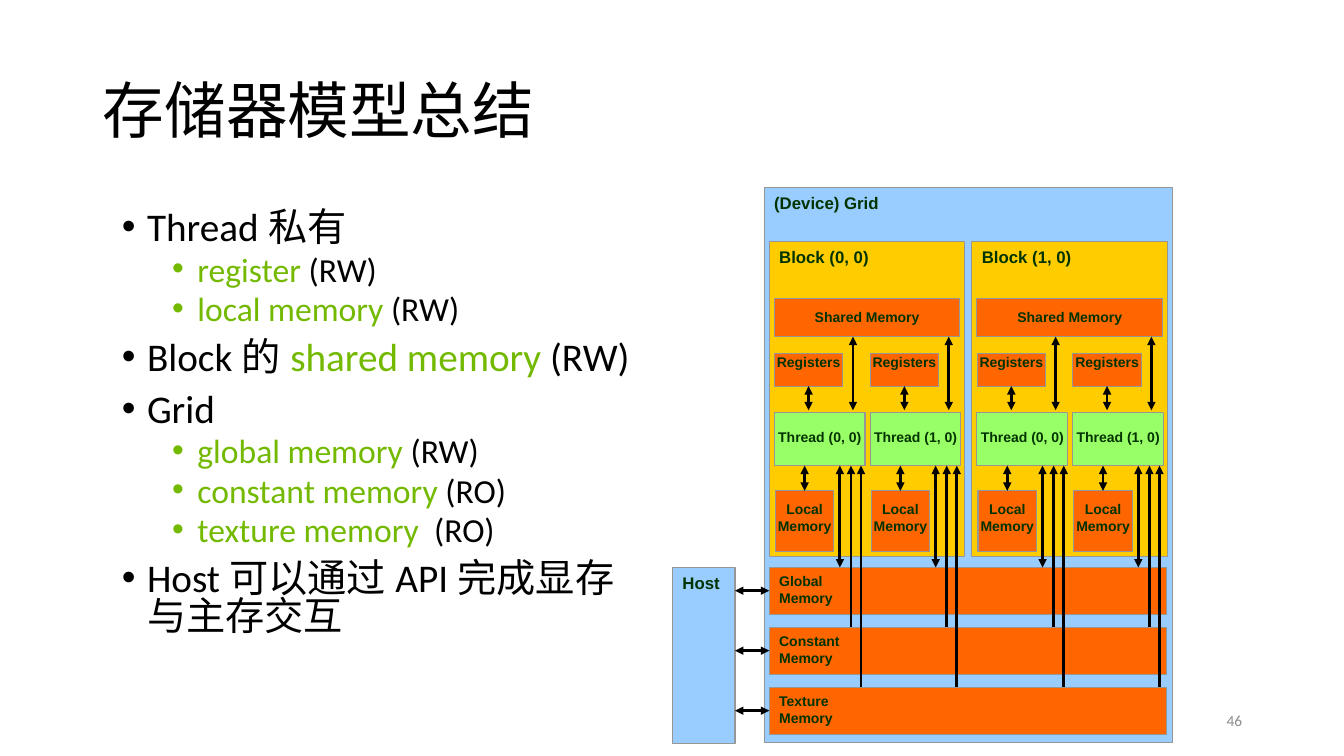
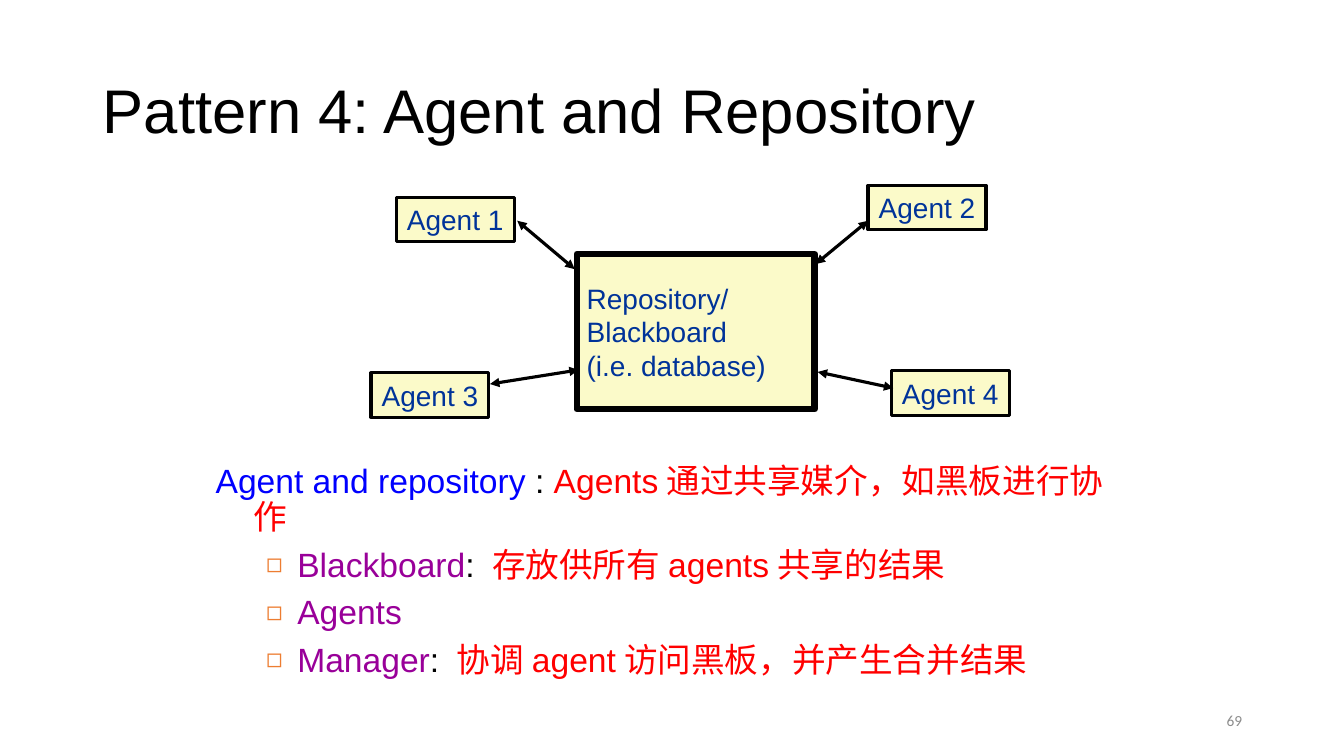
from dataclasses import dataclass
from typing import Optional

import lxml.etree
import pptx
import pptx.dml.color
import pptx.enum.shapes
import pptx.enum.text
import pptx.oxml.ns
import pptx.presentation
import pptx.shapes.shapetree
import pptx.slide
import pptx.text.text
import pptx.util

Inches = pptx.util.Inches
Pt = pptx.util.Pt
ALIGN = pptx.enum.text.PP_ALIGN
ANCHOR = pptx.enum.text.MSO_ANCHOR
qn = pptx.oxml.ns.qn


@dataclass(frozen=True)
class Theme:
    heading_font: str = "Calibri"
    diagram_font: str = "Arial"
    title_size: int = 44
    body_size: int = 28
    detail_size: int = 24
    agent_size: int = 20
    region_size: int = 12
    unit_size: int = 10
    number_size: int = 11
    black: str = "000000"
    number: str = "8C8C8C"
    green: str = "73B900"
    blue: str = "0000FF"
    red: str = "FF0000"
    purple: str = "990099"
    bullet: str = "ED7D31"
    outline: str = "969696"
    label: str = "003300"
    device: str = "99CCFF"
    block: str = "FFCC00"
    memory: str = "FF6600"
    thread: str = "99FF66"
    agent_fill: str = "FBFAC9"
    agent_text: str = "003399"


THEME = Theme()


@dataclass(frozen=True)
class BoxStyle:
    fill: str
    size: int
    color: str = THEME.label
    bold: bool = True
    outline: str = THEME.outline
    outline_width: float = 0.75
    align: ALIGN = ALIGN.LEFT
    anchor: ANCHOR = ANCHOR.TOP
    wrap: bool = True
    insets: tuple[float, float, float, float] = (0.1, 0.05, 0.1, 0.05)


def unit_style(fill: str, top_inset: float) -> BoxStyle:
    return BoxStyle(fill, THEME.unit_size, align=ALIGN.CENTER, insets=(0, top_inset, 0, 0))


def agent_style(outline_width: float, align: ALIGN, wrap: bool) -> BoxStyle:
    return BoxStyle(THEME.agent_fill, THEME.agent_size, THEME.agent_text, False,
                    THEME.black, outline_width, align, ANCHOR.MIDDLE, wrap)


DEVICE = BoxStyle(THEME.device, THEME.region_size)
BLOCK = BoxStyle(THEME.block, THEME.region_size)
MEMORY_BAND = BoxStyle(THEME.memory, THEME.unit_size)
MEMORY_UNIT = unit_style(THEME.memory, 0.1)
REGISTERS = unit_style(THEME.memory, 0)
THREAD = unit_style(THEME.thread, 0.16)
AGENT = agent_style(2.25, ALIGN.CENTER, False)
REPOSITORY = agent_style(4.5, ALIGN.LEFT, True)


@dataclass(frozen=True)
class Box:
    text: str
    left: float
    top: float
    width: float
    height: float
    style: BoxStyle


@dataclass(frozen=True)
class Arrow:
    start: tuple[float, float]
    end: tuple[float, float]
    width: float = 2
    two_way: bool = True


@dataclass(frozen=True)
class Span:
    text: str
    color: str = THEME.black


@dataclass(frozen=True)
class ListStyle:
    font: str
    size: int
    level: int
    margin: float
    hanging: float
    line_spacing: float
    space_before: float
    bullet: Optional[str] = "•"
    bullet_color: Optional[str] = None
    bullet_scale: int = 100


@dataclass(frozen=True)
class Item:
    style: ListStyle
    spans: tuple[Span, ...]


TOPIC = ListStyle(THEME.heading_font, THEME.body_size, 0, 0.25, 0.25, 0.8, 10)
DETAIL = ListStyle(THEME.heading_font, THEME.detail_size, 1, 0.75, 0.25, 0.8, 5)
LEAD = ListStyle(THEME.diagram_font, THEME.detail_size, 0, 0.38, 0.38, 0.9, 5, None)
ROLE = ListStyle(THEME.diagram_font, THEME.detail_size, 1, 0.81, 0.31, 0.9, 8,
                 "◻", THEME.bullet, 80)


def rgb(color: str) -> pptx.dml.color.RGBColor:
    return pptx.dml.color.RGBColor.from_string(color)


def format_font(font: pptx.text.text.Font, name: str, size: float, color: str,
                bold: bool = False) -> None:
    font.name = name
    font.size = Pt(size)
    font.bold = bold
    font.color.rgb = rgb(color)


def add_page(deck: pptx.presentation.Presentation, title: str, title_font: str,
             number: str) -> pptx.slide.Slide:
    page = deck.slides.add_slide(deck.slide_layouts[5])
    heading = page.shapes.title
    heading.left, heading.top = Inches(0.92), Inches(0.4)
    heading.width, heading.height = Inches(11.5), Inches(1.45)
    heading.text_frame.text = title
    heading.text_frame.auto_size = pptx.enum.text.MSO_AUTO_SIZE.NONE
    heading.text_frame.vertical_anchor = ANCHOR.MIDDLE
    para = heading.text_frame.paragraphs[0]
    para.alignment = ALIGN.LEFT
    para.line_spacing = 0.9
    format_font(para.runs[0].font, title_font, THEME.title_size, THEME.black)

    footer = page.shapes.add_textbox(Inches(9.42), Inches(6.95), Inches(3), Inches(0.4))
    footer.text_frame.text = number
    footer.text_frame.word_wrap = True
    footer.text_frame.vertical_anchor = ANCHOR.MIDDLE
    para = footer.text_frame.paragraphs[0]
    para.alignment = ALIGN.RIGHT
    format_font(para.runs[0].font, THEME.heading_font, THEME.number_size, THEME.number)
    return page


def add_box(shapes: pptx.shapes.shapetree.GroupShapes, box: Box) -> None:
    style = box.style
    shape = shapes.add_shape(pptx.enum.shapes.MSO_SHAPE.RECTANGLE, Inches(box.left),
                             Inches(box.top), Inches(box.width), Inches(box.height))
    shape.shadow.inherit = False
    shape.fill.solid()
    shape.fill.fore_color.rgb = rgb(style.fill)
    shape.line.color.rgb = rgb(style.outline)
    shape.line.width = Pt(style.outline_width)
    frame = shape.text_frame
    frame.text = box.text
    frame.word_wrap = style.wrap
    frame.vertical_anchor = style.anchor
    (frame.margin_left, frame.margin_top,
     frame.margin_right, frame.margin_bottom) = map(Inches, style.insets)
    for para in frame.paragraphs:
        para.alignment = style.align
        for span in para.runs:
            format_font(span.font, THEME.diagram_font, style.size, style.color, style.bold)


def add_arrow(shapes: pptx.shapes.shapetree.GroupShapes, arrow: Arrow) -> None:
    connector = shapes.add_connector(pptx.enum.shapes.MSO_CONNECTOR.STRAIGHT,
                                     *map(Inches, arrow.start + arrow.end))
    connector.line.color.rgb = rgb(THEME.black)
    connector.line.width = Pt(arrow.width)
    properties = connector.element.spPr
    line = properties.find(qn("a:ln"))
    for tag in ("a:headEnd", "a:tailEnd")[:2 if arrow.two_way else 1]:
        lxml.etree.SubElement(line, qn(tag), type="triangle")
    lxml.etree.SubElement(properties, qn("a:effectLst"))


def format_item(para: pptx.text.text._Paragraph, style: ListStyle) -> None:
    properties = para._p.get_or_add_pPr()
    properties.set("marL", str(Inches(style.margin)))
    properties.set("indent", str(-Inches(style.hanging)))
    if style.bullet is None:
        lxml.etree.SubElement(properties, qn("a:buNone"))
    else:
        if style.bullet_color:
            tint = lxml.etree.SubElement(properties, qn("a:buClr"))
            lxml.etree.SubElement(tint, qn("a:srgbClr"), val=style.bullet_color)
        lxml.etree.SubElement(properties, qn("a:buSzPct"), val=str(style.bullet_scale * 1000))
        lxml.etree.SubElement(properties, qn("a:buFont"), typeface=THEME.diagram_font)
        lxml.etree.SubElement(properties, qn("a:buChar"), char=style.bullet)
    para.level = style.level
    para.line_spacing = style.line_spacing


def add_list(page: pptx.slide.Slide, left: float, top: float, width: float, height: float,
             items: list[Item]) -> None:
    box = page.shapes.add_textbox(Inches(left), Inches(top), Inches(width), Inches(height))
    frame = box.text_frame
    frame.word_wrap = True
    for index, item in enumerate(items):
        para = frame.add_paragraph() if index else frame.paragraphs[0]
        format_item(para, item.style)
        para.space_before = Pt(item.style.space_before if index else 0)
        for part in item.spans:
            span = para.add_run()
            span.text = part.text
            format_font(span.font, item.style.font, item.style.size, part.color)


def add_thread(shapes: pptx.shapes.shapetree.GroupShapes, left: float, column: int) -> None:
    for box in (
        Box("Local\nMemory", left + 0.01, 4.87, 0.58, 0.6, MEMORY_UNIT),
        Box(f"Thread ({column}, 0)", left, 4.09, 0.9, 0.53, THREAD),
        Box("Registers", left, 3.51, 0.68, 0.33, REGISTERS),
    ):
        add_box(shapes, box)
    for offset, start, end, two_way in (
        (0.78, 4.07, 3.34, True), (0.34, 4.07, 3.83, True), (0.3, 4.87, 4.62, True),
        (0.65, 4.62, 5.63, True), (0.86, 4.62, 6.82, False), (0.76, 4.62, 6.22, False),
    ):
        add_arrow(shapes, Arrow((left + offset, start), (left + offset, end), two_way=two_way))


def add_memory_diagram(page: pptx.slide.Slide) -> None:
    shapes = page.shapes.add_group_shape().shapes
    add_box(shapes, Box("(Device) Grid", 7.58, 1.86, 4.05, 5.51, DEVICE))
    add_box(shapes, Box("Host", 6.67, 5.63, 0.62, 1.75, DEVICE))
    for row, name in enumerate(("Global", "Constant", "Texture")):
        top = 5.63 + 0.595 * row
        add_box(shapes, Box(f"{name}\nMemory", 7.63, top, 3.94, 0.47, MEMORY_BAND))
        add_arrow(shapes, Arrow((7.29, top + 0.23), (7.63, top + 0.23)))
    for block in range(2):
        left = 7.63 + 2.01 * block
        add_box(shapes, Box(f"Block ({block}, 0)", left, 2.4, 1.94, 3.12, BLOCK))
        add_box(shapes, Box("Shared Memory", left + 0.05, 2.96, 1.84, 0.38, MEMORY_UNIT))
        for column in range(2):
            add_thread(shapes, left + 0.05 + 0.95 * column, column)


def add_memory_page(deck: pptx.presentation.Presentation) -> None:
    page = add_page(deck, "存储器模型总结", THEME.heading_font, "46")
    add_list(page, 1.11, 2.05, 5.31, 4.7, [
        Item(TOPIC, (Span("Thread私有"),)),
        Item(DETAIL, (Span("register", THEME.green), Span(" (RW)"))),
        Item(DETAIL, (Span("local memory ", THEME.green), Span("(RW)"))),
        Item(TOPIC, (Span("Block的"), Span("shared memory ", THEME.green), Span("(RW)"))),
        Item(TOPIC, (Span("Grid"),)),
        Item(DETAIL, (Span("global memory ", THEME.green), Span("(RW)"))),
        Item(DETAIL, (Span("constant memory ", THEME.green), Span("(RO)"))),
        Item(DETAIL, (Span("texture memory  ", THEME.green), Span("(RO)"))),
        Item(TOPIC, (Span("Host可以通过API完成显存与主存交互"),)),
    ])
    add_memory_diagram(page)


def add_repository_page(deck: pptx.presentation.Presentation) -> None:
    page = add_page(deck, "Pattern 4: Agent and Repository", THEME.diagram_font, "69")
    add_box(page.shapes, Box("Repository/\nBlackboard\n(i.e. database)",
                             5.72, 2.52, 2.36, 1.54, REPOSITORY))
    for number, (left, top, start, end) in enumerate((
        (3.93, 1.96, (5.7, 2.67), (5.13, 2.19)),
        (8.61, 1.84, (8.61, 2.19), (8.09, 2.62)),
        (3.68, 3.7, (5.74, 3.67), (4.86, 3.81)),
        (8.84, 3.68, (8.86, 3.85), (8.11, 3.69)),
    ), start=1):
        add_box(page.shapes, Box(f"Agent {number}", left, top, 1.17, 0.44, AGENT))
        add_arrow(page.shapes, Arrow(start, end, 2.25))
    add_list(page, 2.04, 4.56, 9.08, 2.94, [
        Item(LEAD, (Span("Agent and repository ", THEME.blue), Span(": "),
                    Span("Agents通过共享媒介，如黑板进行协作", THEME.red))),
        Item(ROLE, (Span("Blackboard", THEME.purple), Span(": "),
                    Span("存放供所有agents共享的结果", THEME.red))),
        Item(ROLE, (Span("Agents", THEME.purple),)),
        Item(ROLE, (Span("Manager", THEME.purple), Span(": "),
                    Span("协调agent访问黑板，并产生合并结果", THEME.red))),
    ])


def main() -> None:
    deck = pptx.Presentation()
    deck.slide_width, deck.slide_height = Inches(13.33), Inches(7.5)
    add_memory_page(deck)
    add_repository_page(deck)
    deck.save("out.pptx")


if __name__ == "__main__":
    main()
